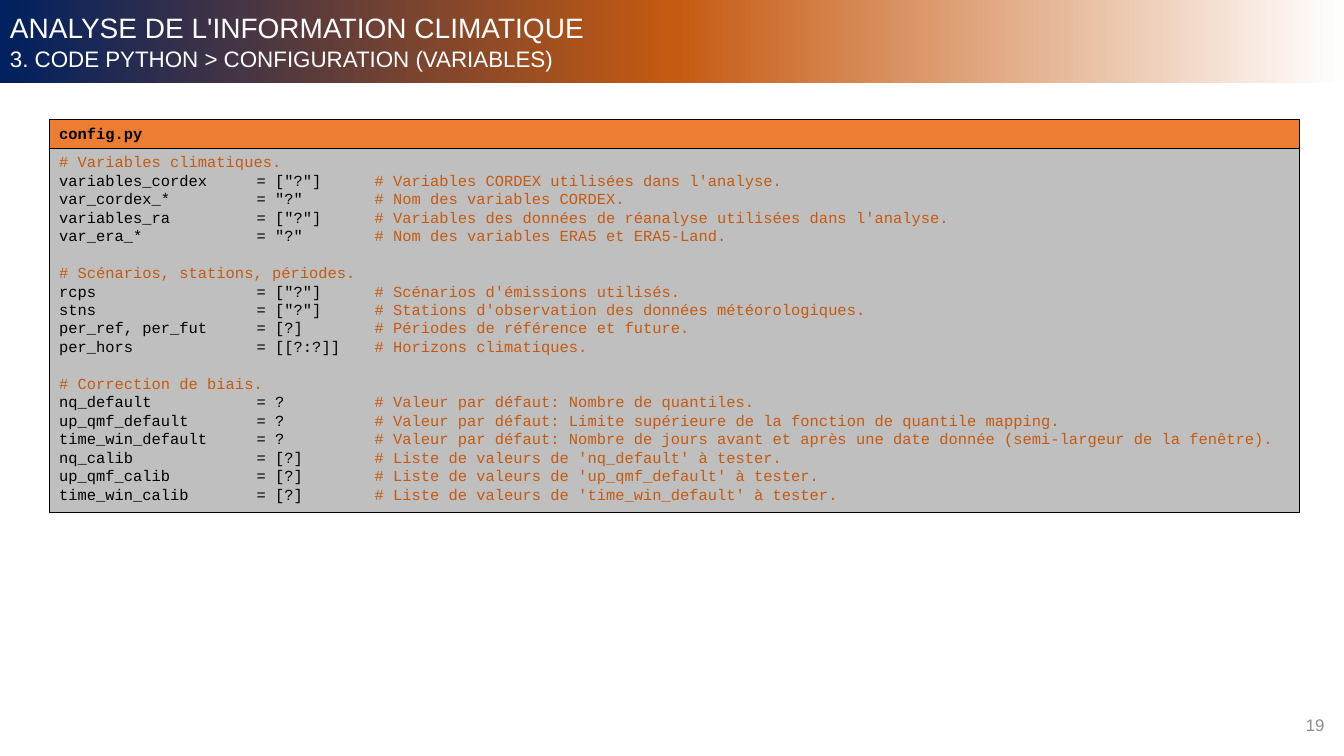
from copy import deepcopy

from lxml.etree import SubElement
from pptx import Presentation
from pptx.dml.color import RGBColor
from pptx.enum.shapes import MSO_SHAPE
from pptx.enum.text import MSO_ANCHOR, PP_ALIGN
from pptx.oxml.ns import qn
from pptx.util import Cm, Pt

SLIDE_WIDTH, SLIDE_HEIGHT = 33.87, 19.05
CODE_LEFT, CODE_WIDTH = 1.24, 31.5
CODE_TABS = (4.98, 7.95)

TITLES = (
    ("ANALYSE DE L'INFORMATION CLIMATIQUE", 20),
    ("3. CODE PYTHON > CONFIGURATION (VARIABLES)", 16),
)

# Each section: heading, then (name, value, comment) settings
SECTIONS = (
    ("Variables climatiques.", (
        ("variables_cordex", '["?"]', "Variables CORDEX utilisées dans l'analyse."),
        ("var_cordex_*", '"?"', "Nom des variables CORDEX."),
        ("variables_ra", '["?"]', "Variables des données de réanalyse utilisées dans l'analyse."),
        ("var_era_*", '"?"', "Nom des variables ERA5 et ERA5-Land."),
    )),
    ("Scénarios, stations, périodes.", (
        ("rcps", '["?"]', "Scénarios d'émissions utilisés."),
        ("stns", '["?"]', "Stations d'observation des données météorologiques."),
        ("per_ref, per_fut", "[?]", "Périodes de référence et future."),
        ("per_hors", "[[?:?]]", "Horizons climatiques."),
    )),
    ("Correction de biais.", (
        ("nq_default", "?", "Valeur par défaut: Nombre de quantiles."),
        ("up_qmf_default", "?",
         "Valeur par défaut: Limite supérieure de la fonction de quantile mapping."),
        ("time_win_default", "?",
         "Valeur par défaut: Nombre de jours avant et après une date donnée "
         "(semi-largeur de la fenêtre)."),
        ("nq_calib", "[?]", "Liste de valeurs de 'nq_default' à tester."),
        ("up_qmf_calib", "[?]", "Liste de valeurs de 'up_qmf_default' à tester."),
        ("time_win_calib", "[?]", "Liste de valeurs de 'time_win_default' à tester."),
    )),
)


def color(hex_code):
    return RGBColor.from_string(hex_code)


def write(paragraph, text, font="Arial", size=11, fill="000000", bold=False):
    run = paragraph.add_run()
    run.text = text
    run.font.name = font
    run.font.size = Pt(size)
    run.font.bold = bold
    run.font.color.rgb = color(fill)


class ClimateSlide:
    BLACK, WHITE, GREY, PALE = "000000", "FFFFFF", "8C8C8C", "BFBFBF"
    NAVY, RUST, ORANGE = "002060", "C55A11", "ED7D31"
    MONO = "Courier New"
    CODE_SIZE, CODE_PITCH = 11, 13.2

    def __init__(self, presentation):
        self.slide = presentation.slides.add_slide(presentation.slide_layouts[6])

    def box(self, left, top, width, height, anchor=MSO_ANCHOR.TOP):
        box = self.slide.shapes.add_shape(
            MSO_SHAPE.RECTANGLE, Cm(left), Cm(top), Cm(width), Cm(height))
        box.shadow.inherit = False
        box.text_frame.word_wrap = True
        box.text_frame.vertical_anchor = anchor
        return box

    def line(self, frame, pitch, before=0, tabs=()):
        """Return the next paragraph, reusing the first while it is empty."""
        first = frame.paragraphs[0]
        paragraph = frame.add_paragraph() if first.runs else first
        paragraph.alignment = PP_ALIGN.LEFT
        paragraph.line_spacing = Pt(pitch)
        paragraph.space_before = Pt(before)
        if tabs:
            tab_list = SubElement(paragraph._p.get_or_add_pPr(), qn("a:tabLst"))
            for stop in tabs:
                SubElement(tab_list, qn("a:tab"), pos=str(int(Cm(stop))), algn="l")
        return paragraph

    def banner(self, titles):
        banner = self.box(0, -0.03, SLIDE_WIDTH, 2.13, MSO_ANCHOR.MIDDLE)
        banner.line.fill.background()
        banner.fill.gradient()
        banner.fill.gradient_angle = 0
        start, end = banner.fill.gradient_stops
        start.color.rgb, start.position = color(self.NAVY), 0
        end.color.rgb, end.position = color(self.RUST), 0.5
        # Third stop: the middle one is duplicated, then the last is turned white
        stops = banner._element.spPr.find(qn("a:gradFill")).find(qn("a:gsLst"))
        stops.append(deepcopy(stops[-1]))
        last = banner.fill.gradient_stops[2]
        last.color.rgb, last.position = color(self.WHITE), 1
        for title, size in titles:
            write(self.line(banner.text_frame, round(size * 1.23, 1)), title,
                  size=size, fill=self.WHITE)

    def panel(self, top, height, fill):
        panel = self.box(CODE_LEFT, top, CODE_WIDTH, height)
        panel.fill.solid()
        panel.fill.fore_color.rgb = color(fill)
        panel.line.color.rgb = color(self.BLACK)
        panel.line.width = Pt(0.5)
        return panel.text_frame

    def code(self, paragraph, text, **style):
        write(paragraph, text, font=self.MONO, size=self.CODE_SIZE, **style)

    def listing(self, top, height, sections):
        frame = self.panel(top, height, self.PALE)
        for index, (heading, settings) in enumerate(sections):
            gap = self.CODE_PITCH if index else 0
            self.code(self.line(frame, self.CODE_PITCH, before=gap),
                      f"# {heading}", fill=self.RUST)
            for name, value, comment in settings:
                setting = self.line(frame, self.CODE_PITCH, tabs=CODE_TABS)
                self.code(setting, f"{name}\t= {value}\t")
                self.code(setting, f"# {comment}", fill=self.RUST)

    def file_name(self, top, height, name):
        frame = self.panel(top, height, self.ORANGE)
        self.code(self.line(frame, self.CODE_PITCH), name, bold=True)

    def page_number(self, number):
        frame = self.slide.shapes.add_textbox(
            Cm(26.01), Cm(17.75), Cm(7.62), Cm(1.02)).text_frame
        frame.word_wrap = True
        frame.vertical_anchor = MSO_ANCHOR.MIDDLE
        frame.paragraphs[0].alignment = PP_ALIGN.RIGHT
        write(frame.paragraphs[0], number, size=12, fill=self.GREY)


def main():
    presentation = Presentation()
    presentation.slide_width = Cm(SLIDE_WIDTH)
    presentation.slide_height = Cm(SLIDE_HEIGHT)
    configuration = ClimateSlide(presentation)

    # Title band and page number
    configuration.banner(TITLES)
    configuration.page_number("19")

    # Code listing under its file name
    configuration.listing(3.71, 9.19, SECTIONS)
    configuration.file_name(3, 0.74, "config.py")

    presentation.save("out.pptx")


if __name__ == "__main__":
    main()
